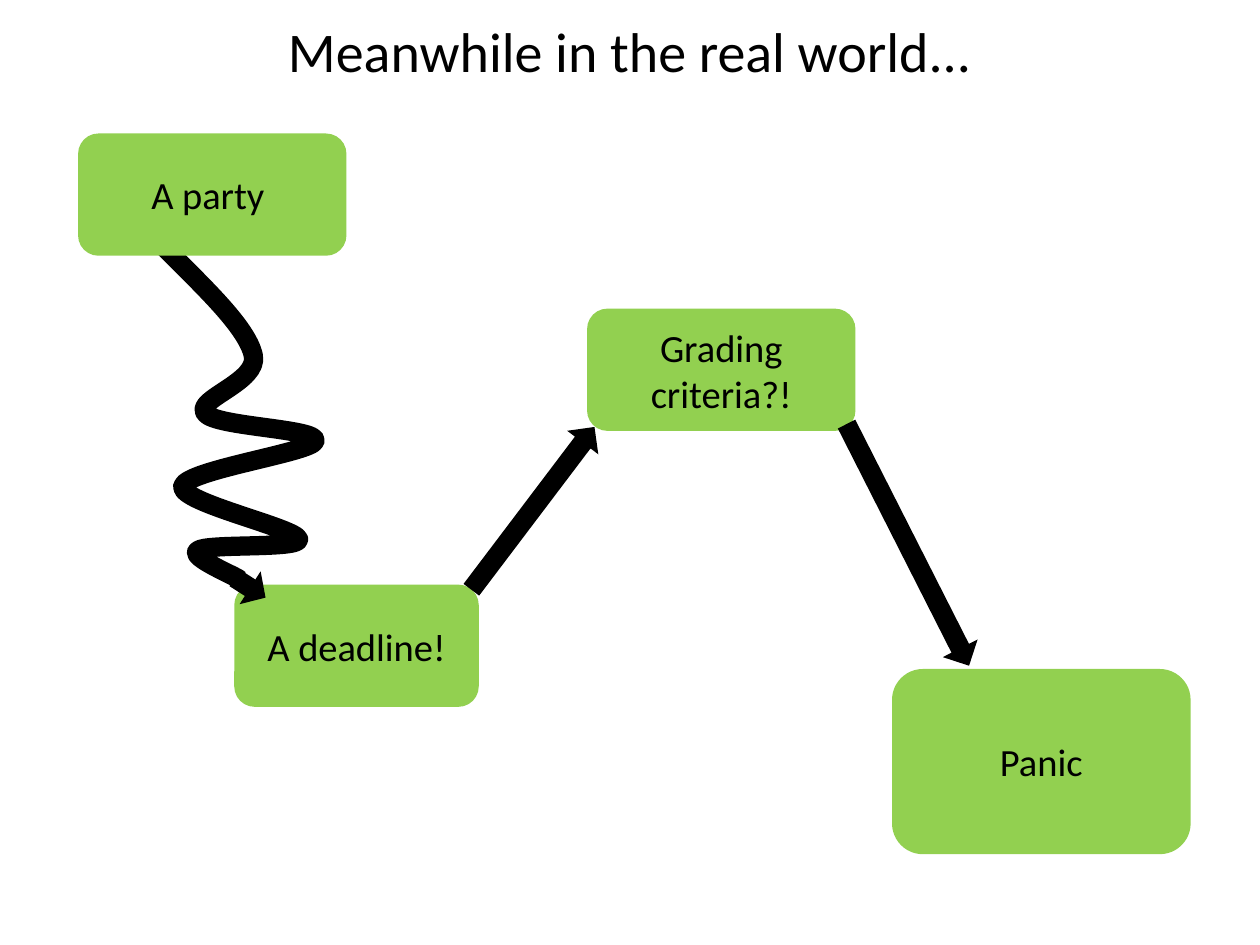
from lxml import etree
from pptx import Presentation
from pptx.dml.color import RGBColor
from pptx.enum.shapes import MSO_SHAPE
from pptx.enum.text import MSO_ANCHOR, PP_ALIGN
from pptx.oxml.ns import qn
from pptx.util import Inches, Pt

ROUNDED = MSO_SHAPE.ROUNDED_RECTANGLE
ARROW = MSO_SHAPE.RIGHT_ARROW
TOP = MSO_ANCHOR.TOP
MIDDLE = MSO_ANCHOR.MIDDLE
CENTER = PP_ALIGN.CENTER

COLORS = {"box": "92D050", "ink": "000000"}
FONT = "Calibri"
TITLE_SIZE = 32
BOX_SIZE = 22
ARROW_THICKNESS = 0.31
SQUIGGLE_WIDTH = 11

SQUIGGLE_START = (1.31, 1.97)
SQUIGGLE_CURVES = [
    [(1.63, 2.29), (1.96, 2.6), (2.01, 2.82)],
    [(2.06, 3.03), (1.54, 3.17), (1.63, 3.28)],
    [(1.71, 3.39), (2.53, 3.4), (2.5, 3.5)],
    [(2.48, 3.59), (1.48, 3.73), (1.45, 3.86)],
    [(1.43, 3.99), (2.35, 4.19), (2.37, 4.28)],
    [(2.38, 4.36), (1.64, 4.31), (1.57, 4.37)],
    [(1.49, 4.42), (1.89, 4.58), (1.9, 4.6)],
]


def color(name):
    return RGBColor.from_string(COLORS[name])


def write_text(sp, text, size, anchor):
    tf = sp.text_frame
    tf.word_wrap = True
    tf.vertical_anchor = anchor
    p = tf.paragraphs[0]
    p.alignment = CENTER
    r = p.add_run()
    r.text = text
    for name, value in {"name": FONT, "size": Pt(size)}.items():
        setattr(r.font, name, value)
    r.font.color.rgb = color("ink")


def add_title(s, text):
    sp = s.shapes.title
    place = {"left": 0.5, "top": 0.08, "width": 9, "height": 0.75}
    for name, value in place.items():
        setattr(sp, name, Inches(value))
    write_text(sp, text, TITLE_SIZE, TOP)


def add_filled(s, kind, place, fill):
    sp = s.shapes.add_shape(kind, *map(Inches, place))
    sp.shadow.inherit = False
    sp.fill.solid()
    sp.fill.fore_color.rgb = color(fill)
    sp.line.fill.background()
    return sp


def add_box(s, text, left, top, width=2.13, height=0.97):
    sp = add_filled(s, ROUNDED, (left, top, width, height), "box")
    write_text(sp, text, BOX_SIZE, MIDDLE)


def add_arrow(s, left, top, length, rotation):
    sp = add_filled(s, ARROW, (left, top, length, ARROW_THICKNESS), "ink")
    sp.rotation = rotation
    return sp


def add_curve(s, start, curves):
    builder = s.shapes.build_freeform(*map(Inches, start))
    points = [(Inches(x), Inches(y)) for c in curves for x, y in c]
    builder.add_line_segments(points, close=False)
    sp = builder.convert_to_shape()
    path = next(sp.element.iter(qn("a:path")))
    lines = path.findall(qn("a:lnTo"))
    for i in range(0, len(lines), 3):
        bezier = etree.SubElement(path, qn("a:cubicBezTo"))
        for line in lines[i:i + 3]:
            bezier.append(line[0])
            path.remove(line)
    sp.shadow.inherit = False
    sp.fill.background()
    sp.line.color.rgb = color("ink")
    sp.line.width = Pt(SQUIGGLE_WIDTH)
    return sp


def add_squiggle_arrow(s):
    head = add_arrow(s, 1.84, 4.51, 0.29, 32.6)
    tail = add_curve(s, SQUIGGLE_START, SQUIGGLE_CURVES)
    s.shapes.add_group_shape([head, tail])


def main():
    prs = Presentation()
    prs.slide_width, prs.slide_height = Inches(10), Inches(7.5)
    s = prs.slides.add_slide(prs.slide_layouts[5])
    add_title(s, "Meanwhile in the real world...")
    add_box(s, "Panic", 7.08, 5.31, 2.37, 1.47)
    add_box(s, "A deadline!", 1.86, 4.64, 1.94)
    add_box(s, "Grading criteria?!", 4.66, 2.45)
    add_squiggle_arrow(s)
    add_arrow(s, 3.42, 3.88, 1.62, 307.1)
    add_arrow(s, 6.13, 4.17, 2.15, 63.1)
    add_box(s, "A party ", 0.62, 1.06)
    prs.save("out.pptx")


if __name__ == "__main__":
    main()
